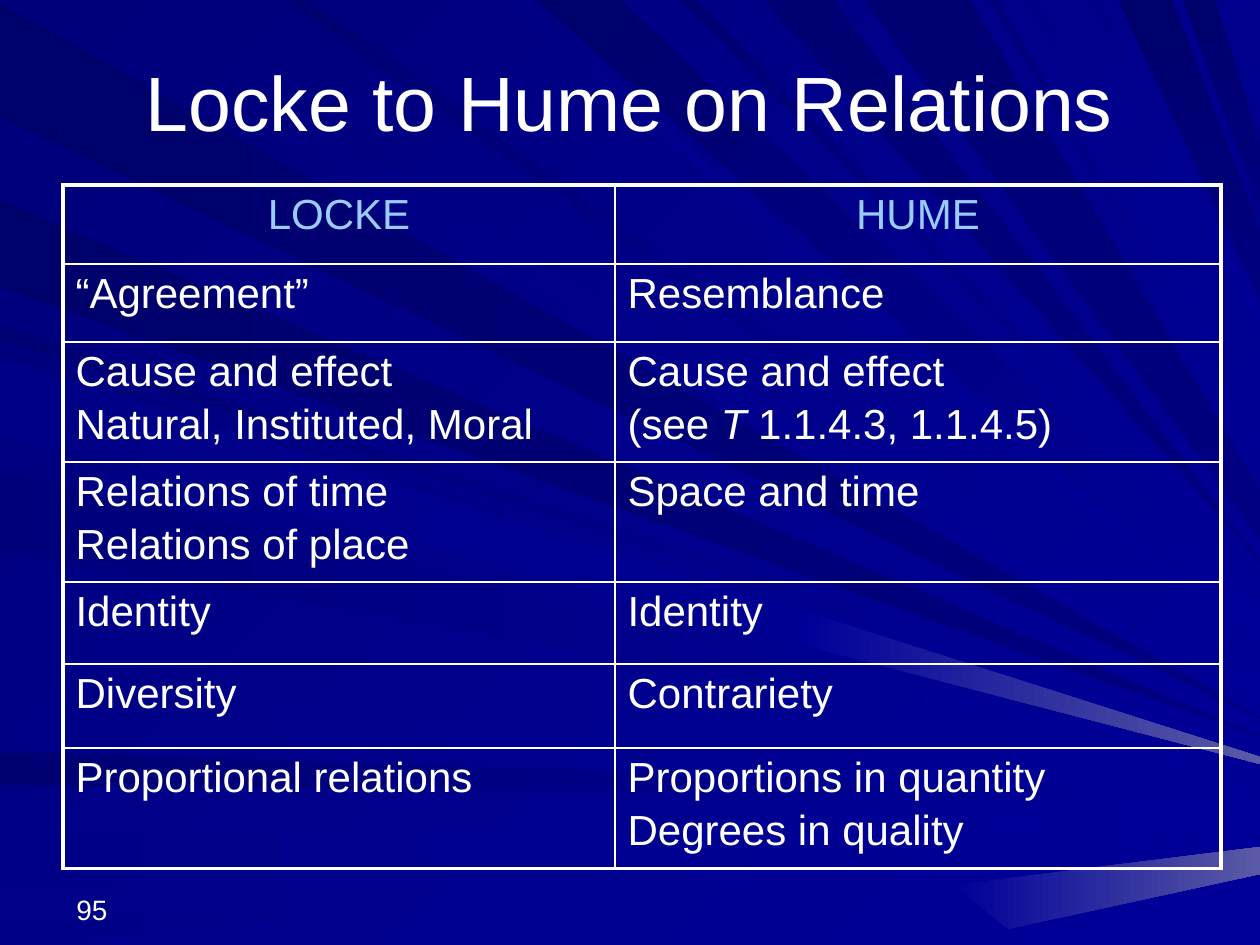
from dataclasses import dataclass

from lxml import etree
from pptx import Presentation
from pptx import util as u
from pptx.dml.color import RGBColor
from pptx.enum import text
from pptx.oxml import ns

EMU_PER_PX = 914400 / 126
WIDTH, HEIGHT = 1260, 945


@dataclass(frozen=True)
class Theme:
    font: str = "Arial"
    white: str = "FFFFFF"
    heading: str = "99CCFF"
    deep: str = "00006B"
    dark: str = "000073"
    medium: str = "00007B"
    soft: str = "000087"
    navy: str = "000080"
    blue: str = "000099"
    glow: str = "5A5AA6"
    title_size: int = 44
    body_size: int = 24
    number_size: int = 16
    line_gap: float = 3.8
    outer_border: float = 2.25
    inner_border: float = 1


THEME = Theme()

RAYS = [
    ("left", "deep", "navy", 3, 117, 717),
    ("top", "medium", "blue", 33, 127, 708),
    ("left", "dark", "blue", 751, 785, 795),
    ("left", "soft", "blue", 838, 887, 810, 10),
    ("left", "soft", "blue", 926, HEIGHT, 834),
    ("left", "dark", "blue", 325, 340, 742),
    ("left", "deep", "navy", 200, 287, 736),
    ("top", "soft", "blue", 501, 524, 649, 7),
    ("top", "deep", "blue", 537, 620, 604, 35),
    ("top", "dark", "blue", 680, 696, 583),
    ("top", "dark", "navy", 764, 833, 561),
    ("top", "deep", "navy", 1118, 1172, 231, 68),
    ("top", "deep", "navy", 1183, 1215, 144, 66),
    ("left", "medium", "blue", 350, 431, 751, 8),
    ("left", "medium", "blue", 471, 551, 762),
    ("left", "soft", "blue", 696, 706, 782),
    ("top", "dark", "blue", 284, 311, 689, 7),
    ("top", "soft", "blue", 727, 741, 571),
    ("top", "dark", "navy", 864, 970, 491, 48),
    ("top", "medium", "blue", 989, 998, 446, 8),
    ("top", "soft", "blue", 1027, 1038, 422),
    ("top", "soft", "blue", 1090, 1099, 314, 11),
    ("left", "soft", "blue", 357, 437, 757, 7),
]
GLINTS = [
    [(803, 611), (WIDTH, 757), (WIDTH, 764), (798, 644)],
    [(953, 885), (WIDTH, 847), (WIDTH, 874), (1008, 929)],
]

COLUMN_WIDTHS = [552, 606]
ROW_HEIGHTS = [79, 78, 115, 114, 82, 84, 115]
RELATIONS = [
    (["LOCKE"], ["HUME"]),
    (["“Agreement”"], ["Resemblance"]),
    (["Cause and effect", "Natural, Instituted, Moral"],
     ["Cause and effect", [("(see ", False), ("T ", True), ("1.1.4.3, 1.1.4.5)", False)]]),
    (["Relations of time", "Relations of place"], ["Space and time"]),
    (["Identity"], ["Identity"]),
    (["Diversity"], ["Contrariety"]),
    (["Proportional relations"], ["Proportions in quantity", "Degrees in quality"]),
]


def px(length):
    return u.Emu(round(length * EMU_PER_PX))


def paint_gradient(fill, start, end, clockwise):
    fill.gradient()
    fill.gradient_angle = -clockwise % 360
    for stop, color in zip(fill.gradient_stops, (start, end)):
        stop.color.rgb = RGBColor.from_string(color)


def add_polygon(slide, points, start, end, clockwise):
    builder = slide.shapes.build_freeform(*points[0], scale=EMU_PER_PX)
    builder.add_line_segments(points[1:], close=True)
    shape = builder.convert_to_shape()
    shape.shadow.inherit = False
    shape.line.fill.background()
    paint_gradient(shape.fill, start, end, clockwise)


def add_ray(slide, origin, start, end, near, far, tip, thickness=1):
    right_side = [(WIDTH, tip), (WIDTH, tip + thickness)]
    if origin == "left":
        points = [(0, near), *right_side, (0, far)]
        clockwise = 0
    else:
        points = [(far, 0), *right_side, (near, 0)]
        clockwise = 90 if end == "navy" else 45
    add_polygon(slide, points, getattr(THEME, start), getattr(THEME, end), clockwise)


def add_label(slide, box, wording, size, anchor, alignment):
    shape = slide.shapes.add_textbox(*map(px, box))
    frame = shape.text_frame
    frame.word_wrap = True
    frame.vertical_anchor = anchor
    frame.paragraphs[0].alignment = alignment
    add_run(frame.paragraphs[0], wording, size, THEME.white)


def add_run(paragraph, wording, size, color, italic=False):
    run = paragraph.add_run()
    run.text = wording
    run.font.name = THEME.font
    run.font.size = u.Pt(size)
    run.font.italic = italic
    run.font.color.rgb = RGBColor.from_string(color)


def set_border(cell, side, points):
    properties = cell._tc.get_or_add_tcPr()
    line = etree.SubElement(properties, ns.qn(f"a:ln{side}"), w=str(u.Pt(points)))
    fill = etree.SubElement(line, ns.qn("a:solidFill"))
    etree.SubElement(fill, ns.qn("a:srgbClr"), val=THEME.white)


def fill_cell(cell, lines, is_heading):
    frame = cell.text_frame
    color = THEME.heading if is_heading else THEME.white
    for index, line in enumerate(lines):
        paragraph = frame.add_paragraph() if index else frame.paragraphs[0]
        paragraph.alignment = text.PP_ALIGN.CENTER if is_heading else text.PP_ALIGN.LEFT
        if index:
            paragraph.space_before = u.Pt(THEME.line_gap)
        runs = [(line, False)] if isinstance(line, str) else line
        for wording, italic in runs:
            add_run(paragraph, wording, THEME.body_size, color, italic)


def add_relations_table(slide, left, top):
    row_count, column_count = len(ROW_HEIGHTS), len(COLUMN_WIDTHS)
    size = px(sum(COLUMN_WIDTHS)), px(sum(ROW_HEIGHTS))
    table = slide.shapes.add_table(row_count, column_count, px(left), px(top), *size).table
    table.first_row = table.horz_banding = False
    for column, width in zip(table.columns, COLUMN_WIDTHS):
        column.width = px(width)
    for row_index, (height, contents) in enumerate(zip(ROW_HEIGHTS, RELATIONS)):
        table.rows[row_index].height = px(height)
        for column_index, lines in enumerate(contents):
            cell = table.cell(row_index, column_index)
            fill_cell(cell, lines, row_index == 0)
            outer_sides = {
                "L": column_index == 0,
                "R": column_index == column_count - 1,
                "T": row_index == 0,
                "B": row_index == row_count - 1,
            }
            for side, is_outer in outer_sides.items():
                set_border(cell, side, THEME.outer_border if is_outer else THEME.inner_border)
            cell.fill.background()


def main():
    presentation = Presentation()
    presentation.slide_width, presentation.slide_height = px(WIDTH), px(HEIGHT)
    slide = presentation.slides.add_slide(presentation.slide_layouts[6])
    paint_gradient(slide.background.fill, THEME.medium, THEME.blue, 45)
    for ray in RAYS:
        add_ray(slide, *ray)
    for points in GLINTS:
        add_polygon(slide, points, THEME.blue, THEME.glow, 0)
    add_label(slide, (64, 869, 294, 63), "95", THEME.number_size,
              text.MSO_ANCHOR.BOTTOM, text.PP_ALIGN.LEFT)
    add_label(slide, (63, 38, 1134, 126), "Locke to Hume on Relations", THEME.title_size,
              text.MSO_ANCHOR.MIDDLE, text.PP_ALIGN.CENTER)
    add_relations_table(slide, 63, 185)
    presentation.save("out.pptx")


if __name__ == "__main__":
    main()
